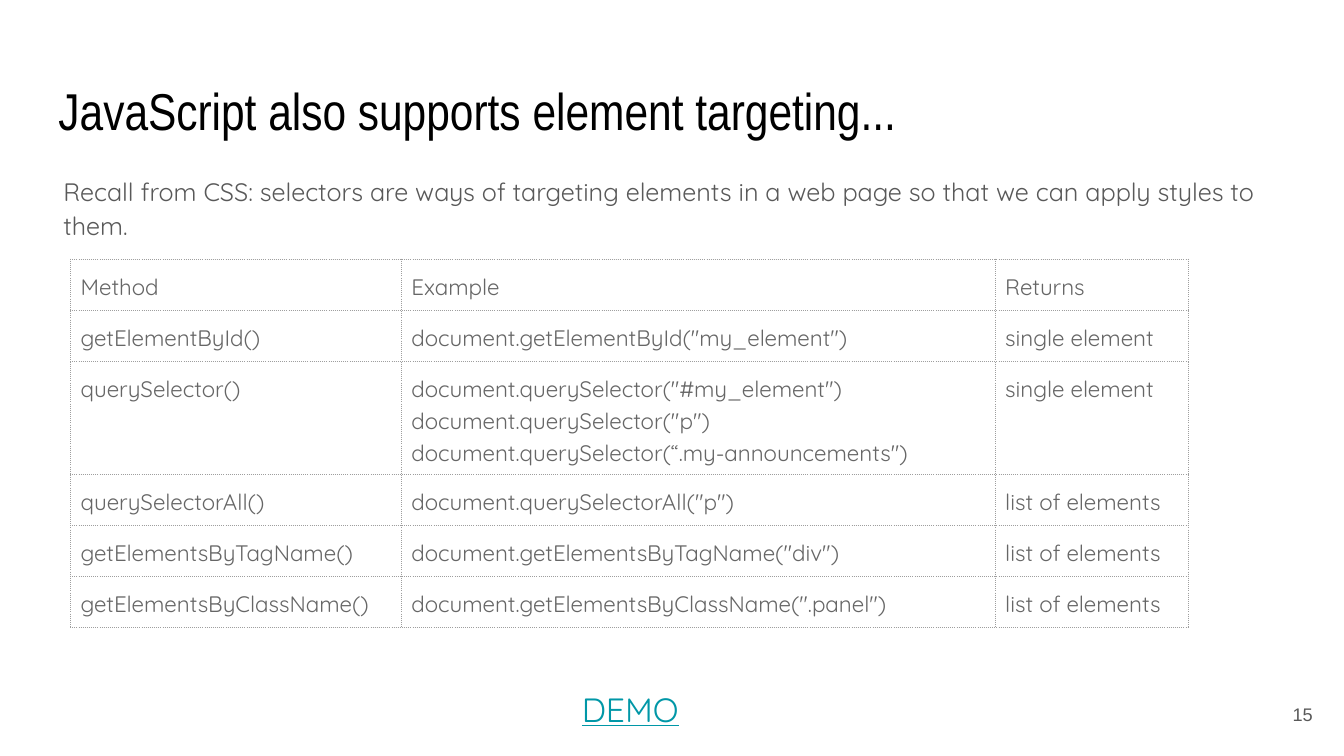
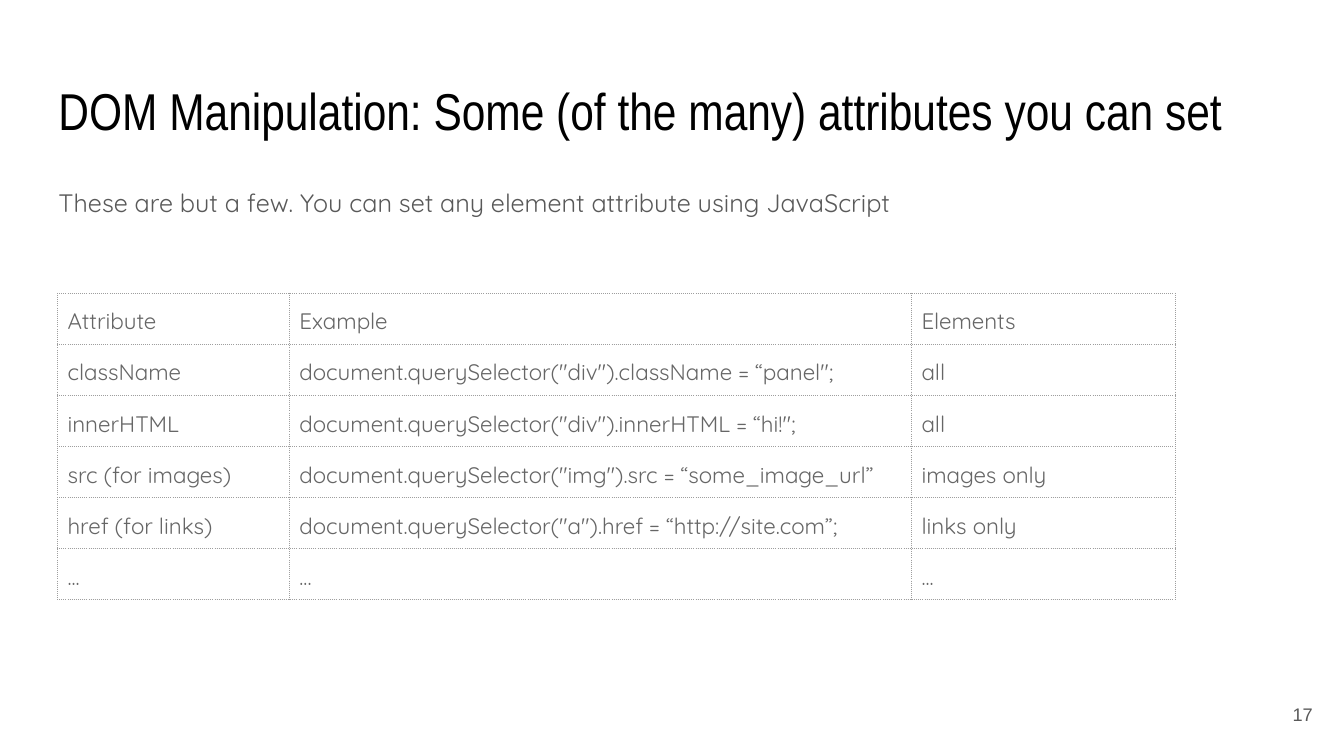
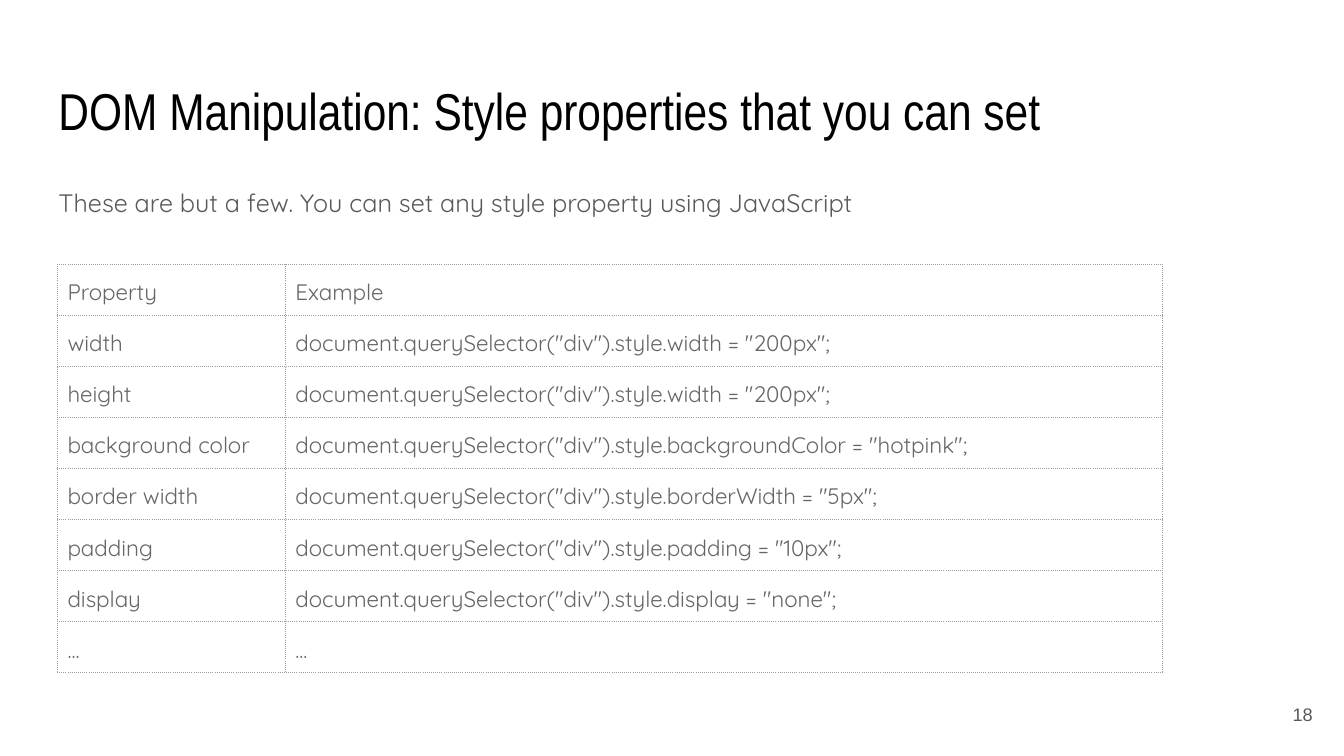
from lxml import etree
from pptx import Presentation
from pptx.dml.color import RGBColor
from pptx.enum.text import MSO_ANCHOR, PP_ALIGN
from pptx.oxml.ns import qn
from pptx.util import Inches, Pt

LEFT, CENTER, RIGHT = PP_ALIGN.LEFT, PP_ALIGN.CENTER, PP_ALIGN.RIGHT
TOP, MIDDLE = MSO_ANCHOR.TOP, MSO_ANCHOR.MIDDLE

WHITE = RGBColor(0xFF, 0xFF, 0xFF)
BLACK = RGBColor(0x00, 0x00, 0x00)
BODY_GREY = RGBColor(0x59, 0x59, 0x59)
CELL_GREY = RGBColor(0x66, 0x66, 0x66)
BORDER_GREY = RGBColor(0x9E, 0x9E, 0x9E)
TEAL = RGBColor(0x00, 0x97, 0xA7)

TITLE_FONT = "Arial Narrow"
NUMBER_FONT = "Arial"
BODY_FONT = "Quicksand"

WIDE_INSET = 0.13
NARROW_INSET = 0.1
LINE_SPACING = 1.15
ROW_HEIGHT = 0.5
BORDER_WIDTH = Pt(0.75)
BORDER_SIDES = ("a:lnL", "a:lnR", "a:lnT", "a:lnB")

INTRO_BOX = (0.45, 1.68, 12.42, 0.75)

METHOD_ROWS = [
    ("Method", "Example", "Returns"),
    ("getElementById()", 'document.getElementById("my_element")', "single element"),
    (
        "querySelector()",
        'document.querySelector("#my_element")\n'
        'document.querySelector("p")\n'
        'document.querySelector(“.my-announcements")',
        "single element",
    ),
    ("querySelectorAll()", 'document.querySelectorAll("p")', "list of elements"),
    ("getElementsByTagName()", 'document.getElementsByTagName("div")', "list of elements"),
    ("getElementsByClassName()", 'document.getElementsByClassName(".panel")', "list of elements"),
]

ATTRIBUTE_ROWS = [
    ("Attribute", "Example", "Elements"),
    ("className", 'document.querySelector("div").className = “panel";', "all"),
    ("innerHTML", 'document.querySelector("div").innerHTML = “hi!";', "all"),
    ("src (for images)", 'document.querySelector("img").src = “some_image_url”', "images only"),
    ("href (for links)", 'document.querySelector("a").href = “http://site.com”;', "links only"),
    ("...", "...", "..."),
]

STYLE_SETTINGS = [
    ("width", 'width = "200px"'),
    ("height", 'width = "200px"'),
    ("background color", 'backgroundColor = "hotpink"'),
    ("border width", 'borderWidth = "5px"'),
    ("padding", 'padding = "10px"'),
    ("display", 'display = "none"'),
]

STYLE_ROWS = [
    ("Property", "Example"),
    *((name, f'document.querySelector("div").style.{setting};') for name, setting in STYLE_SETTINGS),
    ("...", "..."),
]


def add_run(paragraph, text, font_name, size, color, underline=None):
    run = paragraph.add_run()
    run.text = text
    run.font.name = font_name
    run.font.size = Pt(size)
    run.font.color.rgb = color
    run.font.underline = underline


def set_insets(target, inset):
    target.margin_left = target.margin_right = Inches(inset)
    target.margin_top = target.margin_bottom = Inches(inset)


def add_text(slide, box, text, font_name, size, color, inset=WIDE_INSET,
             align=LEFT, anchor=TOP, underline=None):
    frame = slide.shapes.add_textbox(*map(Inches, box)).text_frame
    frame.word_wrap = True
    frame.vertical_anchor = anchor
    set_insets(frame, inset)
    paragraph = frame.paragraphs[0]
    paragraph.alignment = align
    add_run(paragraph, text, font_name, size, color, underline)
    return paragraph


def add_body(slide, box, text, size=18, color=BODY_GREY, **options):
    paragraph = add_text(slide, box, text, BODY_FONT, size, color, **options)
    paragraph.line_spacing = LINE_SPACING
    paragraph.space_after = Pt(21)


def set_dotted_borders(cell):
    properties = cell._tc.get_or_add_tcPr()
    for position, side in enumerate(BORDER_SIDES):
        line = etree.Element(qn(side), w=str(BORDER_WIDTH))
        fill = etree.SubElement(line, qn("a:solidFill"))
        etree.SubElement(fill, qn("a:srgbClr"), val=str(BORDER_GREY))
        etree.SubElement(line, qn("a:prstDash"), val="dot")
        properties.insert(position, line)


def fill_cell(cell, text):
    cell.fill.background()
    set_insets(cell, NARROW_INSET)
    set_dotted_borders(cell)
    for index, line in enumerate(text.split("\n")):
        frame = cell.text_frame
        paragraph = frame.add_paragraph() if index else frame.paragraphs[0]
        paragraph.line_spacing = LINE_SPACING
        add_run(paragraph, line, BODY_FONT, 16, CELL_GREY)


def add_code_table(slide, left, top, column_widths, rows):
    table = slide.shapes.add_table(
        len(rows), len(column_widths), Inches(left), Inches(top),
        Inches(sum(column_widths)), Inches(ROW_HEIGHT * len(rows)),
    ).table
    table.first_row = False
    table.horz_banding = False
    for column, width in zip(table.columns, column_widths):
        column.width = Inches(width)
    for row, texts in zip(table.rows, rows):
        for cell, text in zip(row.cells, texts):
            fill_cell(cell, text)


def add_titled_slide(presentation, title, number):
    slide = presentation.slides.add_slide(presentation.slide_layouts[6])
    slide.background.fill.solid()
    slide.background.fill.fore_color.rgb = WHITE
    add_text(slide, (0.45, 0.65, 12.42, 0.83), title, TITLE_FONT, 37, BLACK)
    add_text(slide, (12.35, 6.8, 0.8, 0.57), str(number), NUMBER_FONT, 13, BODY_GREY,
             align=RIGHT, anchor=MIDDLE)
    return slide


def add_targeting_slide(presentation):
    slide = add_titled_slide(presentation, "JavaScript also supports element targeting...", 15)
    add_body(
        slide, (0.53, 1.6, 12.63, 0.85),
        "Recall from CSS: selectors are ways of targeting elements in a web page "
        "so that we can apply styles to them.",
        inset=NARROW_INSET,
    )
    add_code_table(slide, 0.7, 2.57, (3.28, 5.89, 1.92), METHOD_ROWS)
    add_body(slide, (4.61, 6.67, 3.28, 0.61), "DEMO", size=24, color=TEAL,
             inset=NARROW_INSET, align=CENTER, underline=True)


def add_attributes_slide(presentation):
    slide = add_titled_slide(
        presentation, "DOM Manipulation: Some (of the many) attributes you can set", 17)
    add_body(slide, INTRO_BOX,
             "These are but a few. You can set any element attribute using JavaScript")
    add_code_table(slide, 0.57, 2.91, (2.3, 6.17, 2.62), ATTRIBUTE_ROWS)


def add_styles_slide(presentation):
    slide = add_titled_slide(
        presentation, "DOM Manipulation: Style properties that you can set", 18)
    add_body(slide, INTRO_BOX,
             "These are but a few. You can set any style property using JavaScript")
    add_code_table(slide, 0.57, 2.62, (2.26, 8.7), STYLE_ROWS)


def main():
    presentation = Presentation()
    presentation.slide_width = Inches(13.33)
    presentation.slide_height = Inches(7.5)
    add_targeting_slide(presentation)
    add_attributes_slide(presentation)
    add_styles_slide(presentation)
    presentation.save("out.pptx")


if __name__ == "__main__":
    main()
